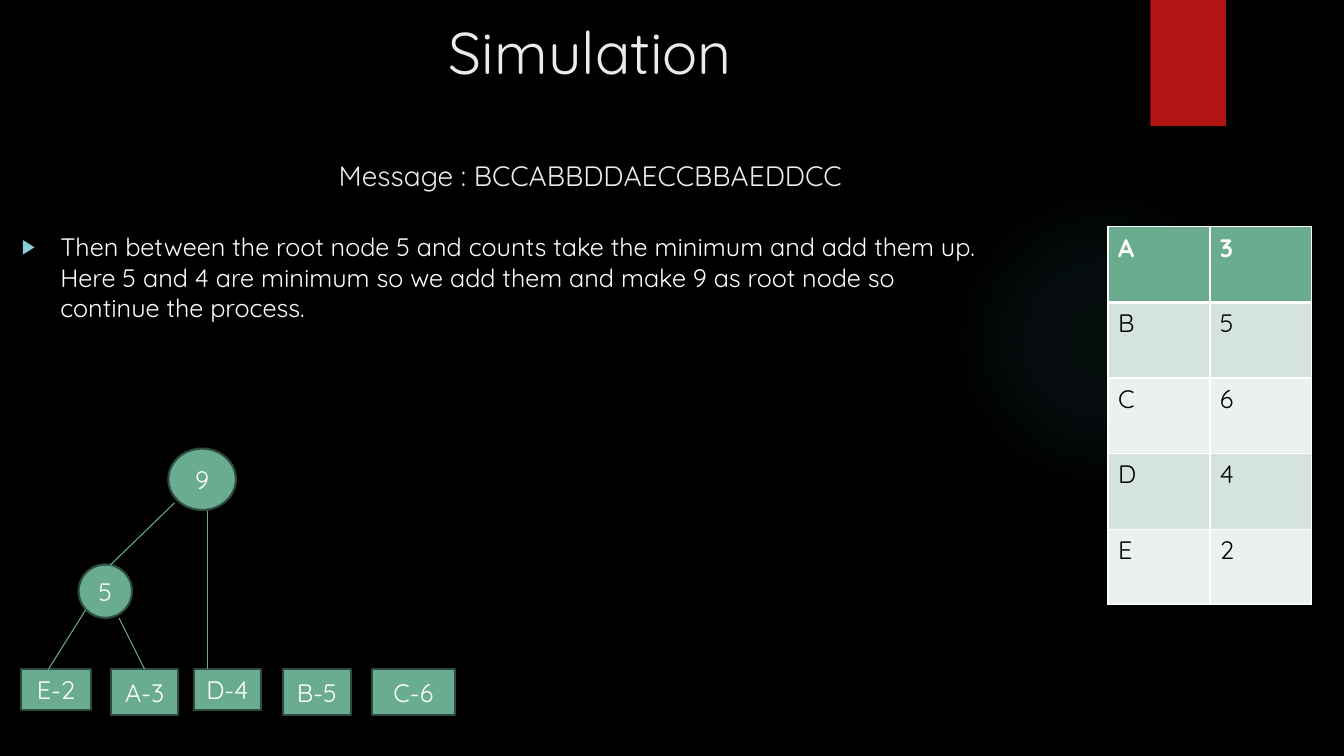
from lxml import etree
from pptx import Presentation
from pptx.dml.color import RGBColor
from pptx.enum import shapes, text
from pptx.oxml import parse_xml
from pptx.oxml.ns import qn, nsdecls
from pptx.util import Inches, Pt

FONT = "Quicksand"
GREEN, DARK_GREEN, WHITE = "6AAC90", "2E4B3F", "FFFFFF"
SHAPE = shapes.MSO_SHAPE
COUNTS = [("A", 3), ("B", 5), ("C", 6), ("D", 4), ("E", 2)]


def color(value):
    return RGBColor.from_string(value)


def style(para, size, value, bold=False):
    for span in para.runs:
        span.font.name = FONT
        span.font.size = Pt(size)
        span.font.bold = bold
        span.font.color.rgb = color(value)


def add_text(page, place, words, size, value, align=text.PP_ALIGN.LEFT):
    box = page.shapes.add_textbox(*map(Inches, place))
    box.text_frame.word_wrap = True
    para = box.text_frame.paragraphs[0]
    para.text = words
    para.alignment = align
    style(para, size, value)
    return para


def add_bullet(para, mark, value, indent):
    props = para._p.get_or_add_pPr()
    props.set("marL", str(Inches(indent)))
    props.set("indent", str(-Inches(indent)))
    tint = etree.SubElement(props, qn("a:buClr"))
    etree.SubElement(tint, qn("a:srgbClr"), val=value)
    etree.SubElement(props, qn("a:buSzPct"), val="80000")
    etree.SubElement(props, qn("a:buFont"), typeface="Arial")
    etree.SubElement(props, qn("a:buChar"), char=mark)


def add_plain(page, kind, place, fill):
    shape = page.shapes.add_shape(kind, *map(Inches, place))
    shape.shadow.inherit = False
    shape.fill.solid()
    shape.fill.fore_color.rgb = color(fill)
    shape.line.fill.background()
    return shape


def add_glow(page, place, value):
    glow = add_plain(page, SHAPE.OVAL, place, value)
    stops = "".join(
        f'<a:gs pos="{pos}000"><a:srgbClr val="{value}"><a:alpha val="{alpha}000"/>'
        "</a:srgbClr></a:gs>" for pos, alpha in ((0, 7), (36, 6), (69, 0)))
    gradient = parse_xml(
        f'<a:gradFill {nsdecls("a")}><a:gsLst>{stops}</a:gsLst><a:path path="circle">'
        '<a:fillToRect l="50000" t="50000" r="50000" b="50000"/></a:path></a:gradFill>')
    solid = glow._element.spPr.find(qn("a:solidFill"))
    solid.getparent().replace(solid, gradient)


def add_node(page, kind, place, label):
    node = add_plain(page, kind, place, GREEN)
    node.line.color.rgb = color(DARK_GREEN)
    node.line.width = Pt(1.5)
    frame = node.text_frame
    frame.word_wrap = False
    frame.vertical_anchor = text.MSO_ANCHOR.MIDDLE
    para = frame.paragraphs[0]
    para.text = label
    para.alignment = text.PP_ALIGN.CENTER
    style(para, 18, WHITE)
    return node


def add_edge(page, start, end):
    edge = page.shapes.add_connector(
        shapes.MSO_CONNECTOR.STRAIGHT, *map(Inches, start + end))
    edge.line.color.rgb = color(GREEN)
    edge.line.width = Pt(0.75)
    etree.SubElement(edge._element.spPr, qn("a:effectLst"))
    return edge


def fill_cell(cell, words, row):
    header = row == 0
    cell.fill.solid()
    cell.fill.fore_color.rgb = color(
        GREEN if header else "D4E3DB" if row % 2 else "EBF1EE")
    para = cell.text_frame.paragraphs[0]
    para.text = words
    style(para, 18, WHITE if header else "000000", header)
    # Borders stand ahead of the fill in the cell properties
    props = cell._tc.get_or_add_tcPr()
    for index, side in enumerate(("lnL", "lnR", "lnT", "lnB")):
        thick = (header and side == "lnB") or (row == 1 and side == "lnT")
        props.insert(index, parse_xml(
            f'<a:{side} {nsdecls("a")} w="{Pt(3 if thick else 1)}"><a:solidFill>'
            f'<a:srgbClr val="{WHITE}"/></a:solidFill></a:{side}>'))


def add_counts(page, left, top, col_width, row_height):
    table = page.shapes.add_table(
        len(COUNTS), 2, Inches(left), Inches(top), Inches(2 * col_width),
        Inches(len(COUNTS) * row_height)).table
    for column in table.columns:
        column.width = Inches(col_width)
    for row, entry in enumerate(COUNTS):
        for col, value in enumerate(entry):
            fill_cell(table.cell(row, col), str(value), row)


def add_tree(page):
    # Inner nodes
    add_node(page, SHAPE.OVAL, (1.67, 4.45, 0.67, 0.61), "9")
    add_node(page, SHAPE.OVAL, (0.78, 5.6, 0.53, 0.53), "5")
    # Leaves
    leaves = {}
    for label, left, width, height in (
            ("E-2", 0.21, 0.69, 0.4), ("A-3", 1.1, 0.67, 0.45), ("D-4", 1.92, 0.67, 0.4),
            ("B-5", 2.81, 0.67, 0.45), ("C-6", 3.69, 0.82, 0.45)):
        leaves[label] = add_node(page, SHAPE.RECTANGLE, (left, 6.64, width, height), label)
    # Edges
    add_edge(page, (1.73, 4.99), (1.09, 5.61))
    add_edge(page, (0.85, 6.05), (0.48, 6.64))
    add_edge(page, (2.06, 5.07), (2.06, 6.64))
    add_edge(page, (1.18, 6.13), (1.44, 6.64)).end_connect(leaves["A-3"], 0)


def main():
    deck = Presentation()
    deck.slide_width, deck.slide_height = Inches(13.33), Inches(7.5)
    page = deck.slides.add_slide(deck.slide_layouts[6])
    page.background.fill.solid()
    page.background.fill.fore_color.rgb = color("000000")

    # Backdrop
    add_glow(page, (9.41, 1.83, 3.08, 3.08), "50B9C1")
    add_plain(page, SHAPE.RECTANGLE, (11.41, 0, 0.75, 1.25), "B01513")

    # Heading and message
    center = text.PP_ALIGN.CENTER
    add_text(page, (0.71, 0.11, 10.29, 0.85), "Simulation", 42, "EBEBEB", center)
    add_text(page, (0.71, 1.52, 10.29, 0.45), "Message : BCCABBDDAECCBBAEDDCC",
             20, "EBEBEB", center)

    # Explanation
    step = add_text(
        page, (0.12, 2.25, 9.67, 1.1),
        "Then between the root node 5 and counts take the minimum and add them up. "
        "Here 5 and 4 are minimum so we add them and make 9 as root node so "
        "continue the process.", 18, WHITE)
    add_bullet(step, "▶", "8AD0D6", 0.38)

    add_counts(page, 10.99, 2.25, 1.01, 0.75)
    add_tree(page)
    deck.save("out.pptx")


if __name__ == "__main__":
    main()
